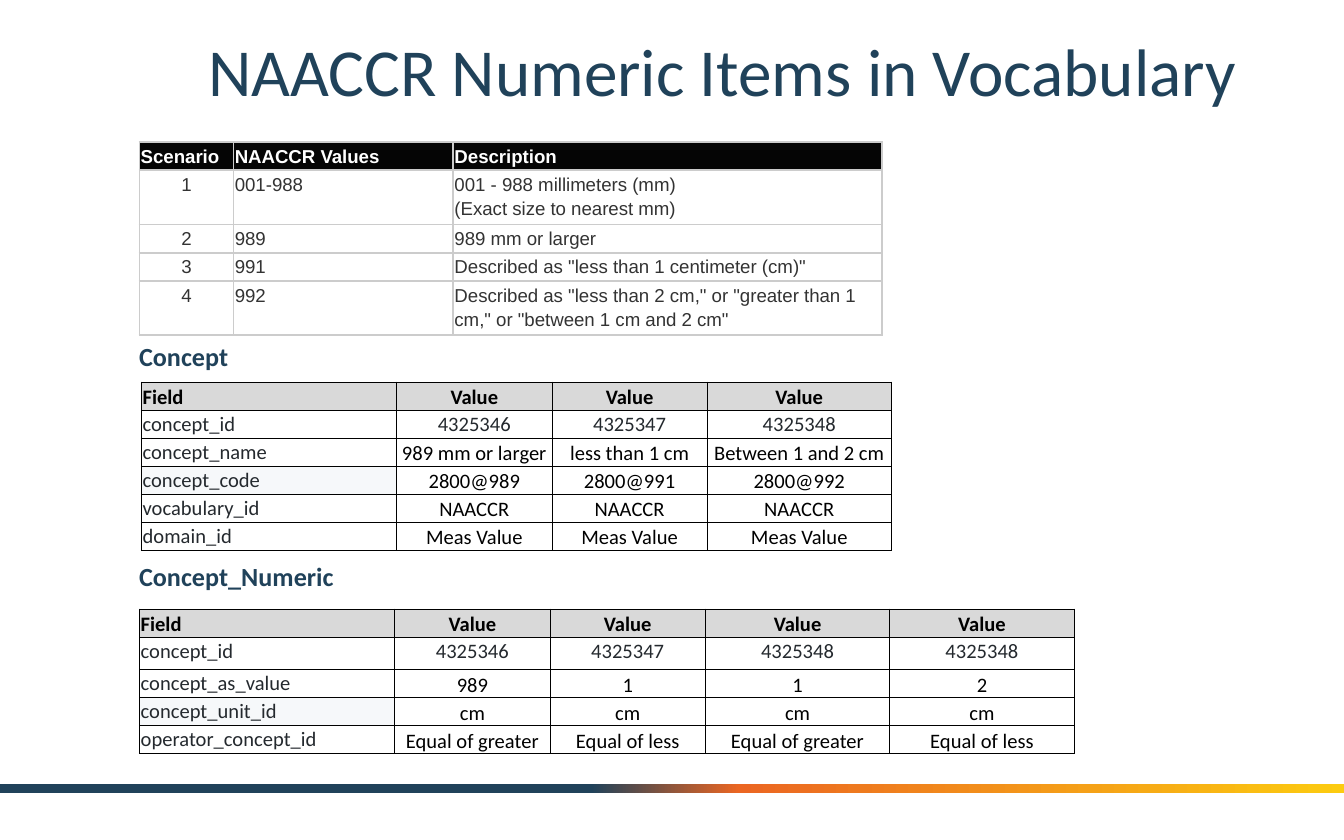
from dataclasses import dataclass
from typing import Callable, Optional

from lxml import etree
from pptx import Presentation
from pptx.dml.color import RGBColor
from pptx.enum import shapes, text
from pptx.oxml import ns
from pptx.util import Pt

NAVY = RGBColor(0x20, 0x42, 0x5A)
ORANGE = RGBColor(0xEB, 0x66, 0x22)
YELLOW = RGBColor(0xFC, 0xCB, 0x10)
BLACK = RGBColor(0, 0, 0)
NEAR_BLACK = RGBColor(0x05, 0x05, 0x05)
WHITE = RGBColor(0xFF, 0xFF, 0xFF)
DARK_GREY = RGBColor(0x33, 0x33, 0x33)
INK = RGBColor(0x24, 0x29, 0x2E)
GREY = RGBColor(0xCC, 0xCC, 0xCC)
HEADER_GREY = RGBColor(0xD9, 0xD9, 0xD9)
PALE_BLUE = RGBColor(0xF6, 0xF8, 0xFA)

LEFT, CENTER = text.PP_ALIGN.LEFT, text.PP_ALIGN.CENTER
TOP, MIDDLE, BOTTOM = (text.MSO_ANCHOR.TOP, text.MSO_ANCHOR.MIDDLE,
                       text.MSO_ANCHOR.BOTTOM)


@dataclass
class CellStyle:
    color: RGBColor
    fill: Optional[RGBColor] = None
    bold: bool = False
    align: text.PP_ALIGN = LEFT
    anchor: text.MSO_ANCHOR = TOP


@dataclass
class TableSpec:
    left: float
    top: float
    widths: list[float]
    heights: list[float]
    rows: list[list[str]]
    style: Callable[[int, int, str], CellStyle]
    border: RGBColor = BLACK
    border_width: float = 0.5
    font: str = "Calibri"
    size: float = 11
    spacing: float = 1.0
    bottom_margin: float = 0


@dataclass
class Heading:
    content: str
    left: float
    top: float
    width: float
    height: float
    size: float
    bold: bool = True
    align: text.PP_ALIGN = LEFT


def scenario_style(row: int, col: int, content: str) -> CellStyle:
    if row == 0:
        return CellStyle(WHITE, NEAR_BLACK, bold=True)
    return CellStyle(DARK_GREY, align=LEFT if col else CENTER)


def concept_style(row: int, col: int, content: str) -> CellStyle:
    align = CENTER if col else LEFT
    if row == 0:
        return CellStyle(BLACK, HEADER_GREY, True, align, BOTTOM)
    if col == 0 or row == 1:
        fill = PALE_BLUE if row == 3 else WHITE
        return CellStyle(INK, fill, align=align)
    return CellStyle(BLACK, align=align, anchor=BOTTOM)


def write(tf, content: str, *, size: float, color: RGBColor,
          font: str = "Calibri", bold: bool = False,
          align: text.PP_ALIGN = LEFT, spacing: float = 1.0) -> None:
    """Fill the first paragraph; each newline becomes a line break."""
    p = tf.paragraphs[0]
    p.alignment = align
    p.line_spacing = spacing
    for i, line in enumerate(content.split("\n")):
        if i:
            p.add_line_break()
        r = p.add_run()
        r.text = line
        r.font.name = font
        r.font.size = Pt(size)
        r.font.bold = bold
        r.font.color.rgb = color


def add_heading(s, h: Heading) -> None:
    tf = s.shapes.add_textbox(Pt(h.left), Pt(h.top), Pt(h.width),
                              Pt(h.height)).text_frame
    tf.word_wrap = True
    tf.vertical_anchor = MIDDLE
    tf.margin_left = tf.margin_right = tf.margin_top = tf.margin_bottom = 0
    write(tf, h.content, size=h.size, color=NAVY, bold=h.bold, align=h.align)


def set_borders(cell, color: RGBColor, width: float) -> None:
    tc_pr = cell._tc.get_or_add_tcPr()
    for i, side in enumerate(("lnL", "lnR", "lnT", "lnB")):
        ln = etree.Element(ns.qn(f"a:{side}"), w=str(Pt(width)))
        solid = etree.SubElement(ln, ns.qn("a:solidFill"))
        etree.SubElement(solid, ns.qn("a:srgbClr"), val=str(color))
        tc_pr.insert(i, ln)


def add_table(s, t: TableSpec) -> None:
    table = s.shapes.add_table(
        len(t.rows), len(t.widths), Pt(t.left), Pt(t.top),
        Pt(sum(t.widths)), Pt(sum(t.heights))).table
    table.first_row = table.horz_banding = False
    for column, width in zip(table.columns, t.widths):
        column.width = Pt(width)
    for i, (height, values) in enumerate(zip(t.heights, t.rows)):
        table.rows[i].height = Pt(height)
        for j, value in enumerate(values):
            cell = table.cell(i, j)
            style = t.style(i, j, value)
            cell.margin_left = cell.margin_right = cell.margin_top = Pt(0.7)
            cell.margin_bottom = Pt(t.bottom_margin)
            cell.vertical_anchor = style.anchor
            if style.fill is None:
                cell.fill.background()
            else:
                cell.fill.solid()
                cell.fill.fore_color.rgb = style.fill
            set_borders(cell, t.border, t.border_width)
            write(cell.text_frame, value, size=t.size, color=style.color,
                  font=t.font, bold=style.bold, align=style.align,
                  spacing=t.spacing)


def add_footer_band(s) -> None:
    sp = s.shapes.add_shape(shapes.MSO_SHAPE.RECTANGLE, Pt(0), Pt(420),
                            Pt(720), Pt(5))
    sp.shadow.inherit = False
    sp.line.fill.background()
    sp.fill.gradient()
    sp.fill.gradient_angle = 0
    stops = sp._element.spPr.find(".//" + ns.qn("a:gsLst"))
    for stop in list(stops):
        stops.remove(stop)
    for percent, color in ((44, NAVY), (55, ORANGE), (100, YELLOW)):
        gs = etree.SubElement(stops, ns.qn("a:gs"), pos=str(percent * 1000))
        etree.SubElement(gs, ns.qn("a:srgbClr"), val=str(color))


HEADINGS = [
    Heading("NAACCR Numeric Items in Vocabulary", 90, 10, 594, 55, 36,
            bold=False, align=CENTER),
    Heading("Concept", 74.5, 182.5, 300, 17, 14),
    Heading("Concept_Numeric", 74.5, 300, 300, 17, 14),
]

SCENARIOS = TableSpec(
    74.7, 76, [50.4, 117.7, 229.6], [14.5, 27, 14.5, 14.5, 27],
    [["Scenario", "NAACCR Values", "Description"],
     ["1", "001-988", "001 - 988 millimeters (mm)\n(Exact size to nearest mm)"],
     ["2", "989", "989 mm or larger"],
     ["3", "991", 'Described as "less than 1 centimeter (cm)"'],
     ["4", "992", 'Described as "less than 2 cm," or "greater than 1 cm," '
                  'or "between 1 cm and 2 cm"']],
    scenario_style, GREY, 1, "Arial", 10, 1.15, 0.7)

CONCEPT = TableSpec(
    75.7, 204.7, [136.8, 83.2, 83.2, 98.6], [15] * 6,
    [["Field"] + ["Value"] * 3,
     ["concept_id", "4325346", "4325347", "4325348"],
     ["concept_name", "989 mm or larger", "less than 1 cm",
      "Between 1 and 2 cm"],
     ["concept_code", "2800@989", "2800@991", "2800@992"],
     ["vocabulary_id"] + ["NAACCR"] * 3,
     ["domain_id"] + ["Meas Value"] * 3],
    concept_style)

CONCEPT_NUMERIC = TableSpec(
    74.7, 326.3, [136.8, 83.2, 83.2, 98.8, 98.8], [15, 17.6, 15, 15, 15],
    [["Field"] + ["Value"] * 4,
     ["concept_id", "4325346", "4325347", "4325348", "4325348"],
     ["concept_as_value", "989", "1", "1", "2"],
     ["concept_unit_id"] + ["cm"] * 4,
     ["operator_concept_id"] + ["Equal of greater", "Equal of less"] * 2],
    concept_style)


def main() -> None:
    prs = Presentation()
    prs.slide_width, prs.slide_height = Pt(720), Pt(450)
    s = prs.slides.add_slide(prs.slide_layouts[6])
    add_footer_band(s)
    for heading in HEADINGS:
        add_heading(s, heading)
    for table in (SCENARIOS, CONCEPT_NUMERIC, CONCEPT):
        add_table(s, table)
    prs.save("out.pptx")


if __name__ == "__main__":
    main()
